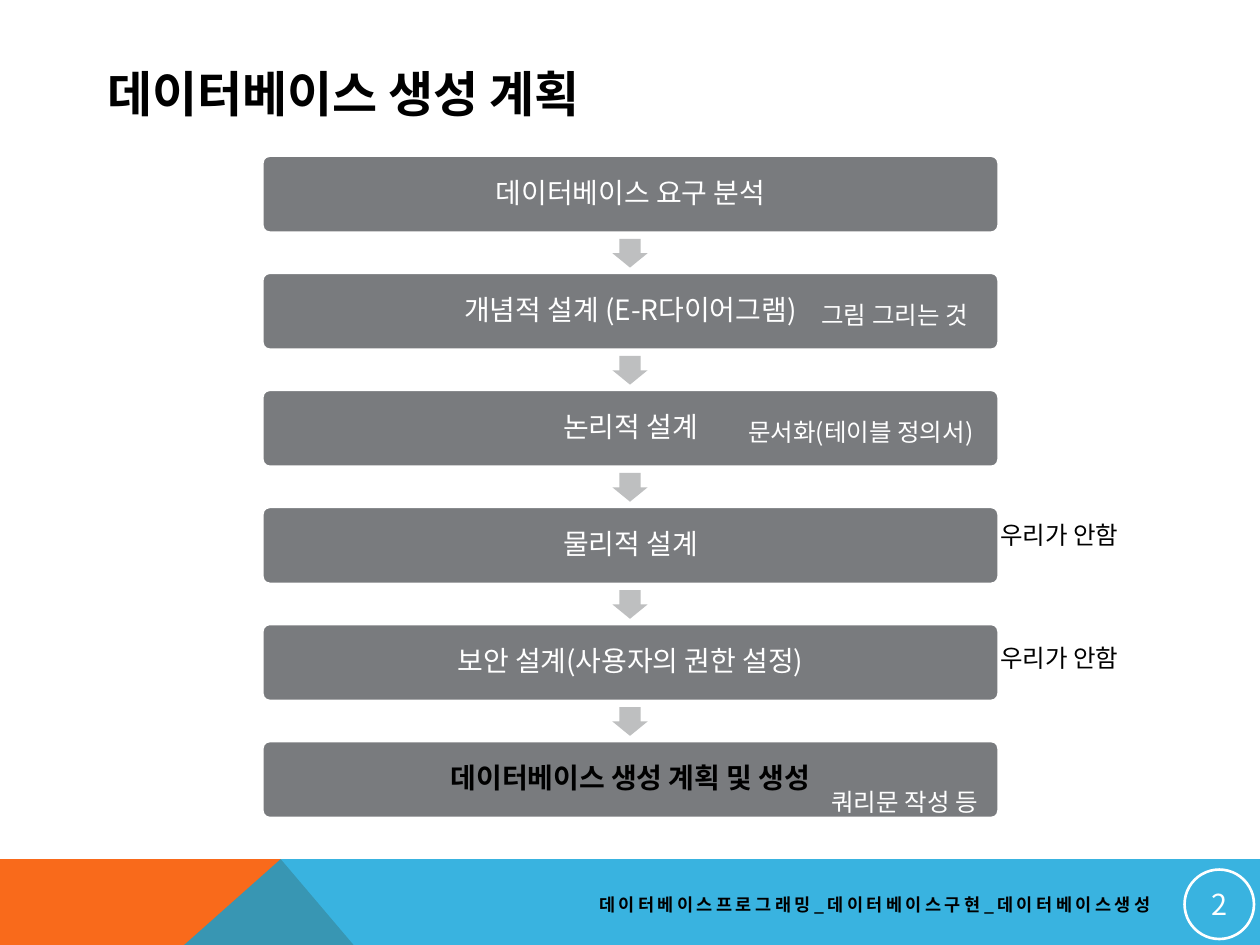
from lxml import etree
from pptx import Presentation
from pptx.dml.color import RGBColor
from pptx.enum.shapes import MSO_SHAPE
from pptx.enum.text import MSO_ANCHOR, PP_ALIGN
from pptx.oxml.ns import qn
from pptx.util import Cm, Pt

FONT = "Noto Sans CJK KR"
WHITE = RGBColor(0xFF, 0xFF, 0xFF)
BLACK = RGBColor(0, 0, 0)
ORANGE = RGBColor(0xF9, 0x6A, 0x1B)
BLUE = RGBColor(0x08, 0xA1, 0xD9)
GRAY = RGBColor(0x79, 0x7B, 0x7E)
LIGHT_GRAY = RGBColor(0xBE, 0xBF, 0xC0)
LEFT, CENTER, RIGHT = PP_ALIGN.LEFT, PP_ALIGN.CENTER, PP_ALIGN.RIGHT
TOP, MIDDLE = MSO_ANCHOR.TOP, MSO_ANCHOR.MIDDLE
ROUNDED, ARROW, OVAL = MSO_SHAPE.ROUNDED_RECTANGLE, MSO_SHAPE.RIGHT_ARROW, MSO_SHAPE.OVAL


def write(box, text, size, color=BLACK, bold=False, align=LEFT, anchor=MIDDLE,
          wrap=True, inset=None, line_spacing=None, tracking=None):
    frame = box.text_frame
    frame.word_wrap = wrap
    frame.vertical_anchor = anchor
    if inset is not None:
        frame.margin_left = frame.margin_right = inset
        frame.margin_top = frame.margin_bottom = inset
    para = frame.paragraphs[0]
    para.alignment = align
    if line_spacing:
        para.line_spacing = line_spacing
    span = para.add_run()
    span.text = text
    span.font.size = Pt(size)
    span.font.bold = bold
    span.font.color.rgb = color
    span.font.name = FONT
    properties = span.font._element
    etree.SubElement(properties, qn("a:ea"), typeface=FONT)
    if tracking:
        properties.set("spc", str(tracking * 100))


def paint(shape, fill=None, line=None, width=1):
    shape.shadow.inherit = False
    if fill is None:
        shape.fill.background()
    else:
        shape.fill.solid()
        shape.fill.fore_color.rgb = fill
    if line is None:
        shape.line.fill.background()
    else:
        shape.line.color.rgb = line
        shape.line.width = Pt(width)


deck = Presentation()
deck.slide_width, deck.slide_height = Cm(25.4), Cm(19.05)
page = deck.slides.add_slide(deck.slide_layouts[6])
shapes = page.shapes

# Footer bands: orange wedge under a translucent blue band
band_top, band_bottom, peak = 17.32, 22.35, 5.66
bands = [
    (ORANGE, [(0, band_bottom), (0, band_top), (peak, band_top), (9.93, band_bottom)]),
    (BLUE, [(0, band_bottom), (peak, band_top), (25.4, band_top), (25.4, band_bottom)]),
]
for color, corners in bands:
    points = [(Cm(x), Cm(y)) for x, y in corners]
    builder = shapes.build_freeform(*points[0])
    builder.add_line_segments(points[1:], close=True)
    band = builder.convert_to_shape()
    paint(band, color)
blue_fill = band._element.spPr.find(qn("a:solidFill"))
etree.SubElement(blue_fill[0], qn("a:alpha"), val="80000")

# Page number and footer text
badge = shapes.add_shape(OVAL, Cm(23.88), Cm(17.53), Cm(1.4), Cm(1.4))
paint(badge, line=WHITE, width=1.5)
write(badge, "2", 16.5, WHITE, align=CENTER, inset=Cm(0.03))
footer = shapes.add_textbox(Cm(10.31), Cm(17.86), Cm(13.13), Cm(0.76))
write(footer, "데이터베이스프로그래밍_데이터베이스구현_데이터베이스생성", 10,
      bold=True, align=RIGHT, tracking=2)

# Process steps joined by arrows
steps = [
    "데이터베이스 요구 분석",
    "개념적 설계 (E-R다이어그램)",
    "논리적 설계",
    "물리적 설계",
    "보안 설계(사용자의 권한 설정)",
    "데이터베이스 생성 계획 및 생성",
]
first_top, pitch = 3.13, 2.36
for index, label in enumerate(steps):
    top = first_top + index * pitch
    last = index == len(steps) - 1
    step = shapes.add_shape(ROUNDED, Cm(5.28), Cm(top), Cm(14.86), Cm(1.57))
    step.adjustments[0] = 0.1
    paint(step, GRAY, WHITE, 2)
    write(step, label, 16, BLACK if last else WHITE, bold=last, align=CENTER,
          inset=Cm(0.18), line_spacing=0.9)
    if not last:
        arrow = shapes.add_shape(ARROW, Cm(12.41), Cm(top + 1.62), Cm(0.58), Cm(0.71))
        arrow.rotation = 90
        arrow.adjustments[0] = 0.6
        arrow.adjustments[1] = 0.5
        paint(arrow, LIGHT_GRAY)

# Title
title = shapes.add_textbox(Cm(1.91), Cm(1.12), Cm(20.88), Cm(1.52))
write(title, "데이터베이스 생성 계획", 28, bold=True)

# Side notes
notes = [
    ("그림 그리는 것", 16.31, 5.92, 3.86, WHITE),
    ("문서화(테이블 정의서)", 14.83, 8.28, 5.49, WHITE),
    ("우리가 안함", 19.91, 10.36, 3.18, BLACK),
    ("우리가 안함", 19.91, 12.83, 3.18, BLACK),
    ("쿼리문 작성 등", 16.51, 15.75, 3.86, WHITE),
]
for text, left, top, width, color in notes:
    note = shapes.add_textbox(Cm(left), Cm(top), Cm(width), Cm(0.86))
    write(note, text, 14, color, anchor=TOP, wrap=False)

deck.save("out.pptx")
